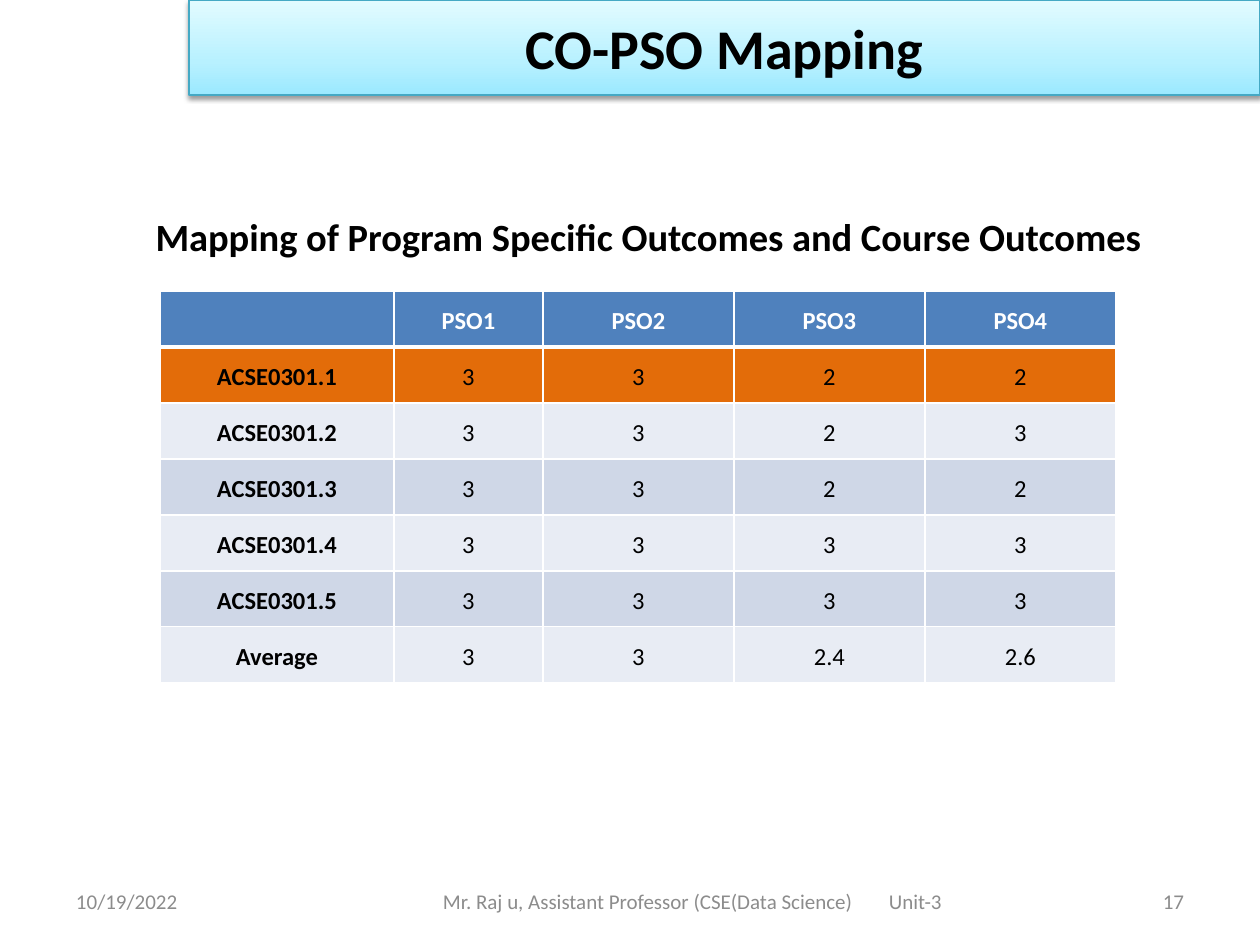
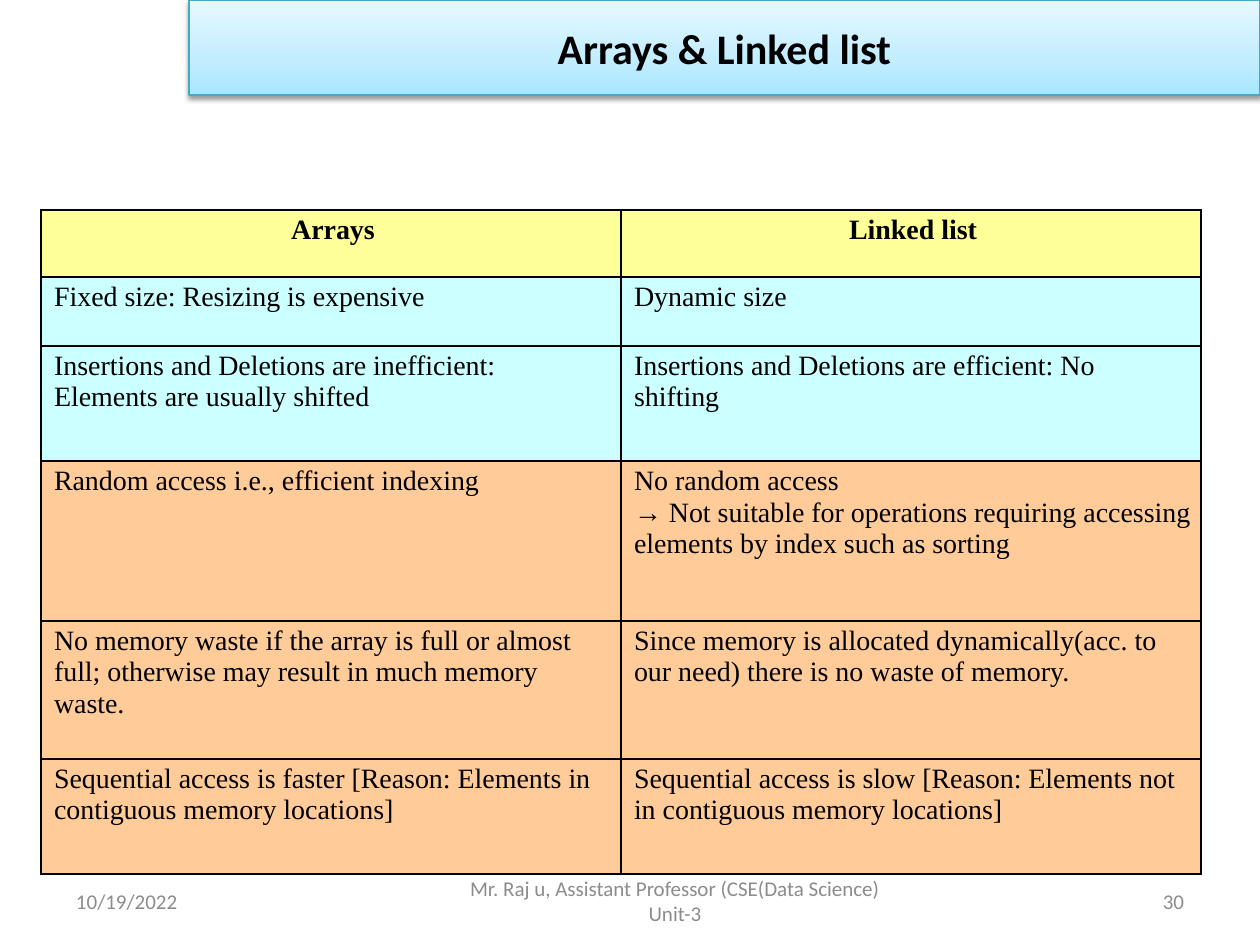
from dataclasses import dataclass

from lxml import etree
from pptx import Presentation
from pptx.dml.color import RGBColor
from pptx.enum.text import MSO_ANCHOR, PP_ALIGN
from pptx.oxml import parse_xml
from pptx.oxml.ns import nsdecls, qn
from pptx.util import Emu, Pt

PX = 914400 / 126
SLIDE_WIDTH, SLIDE_HEIGHT = 1260, 945
TITLE_ONLY = 5

LEFT, CENTER, RIGHT = PP_ALIGN.LEFT, PP_ALIGN.CENTER, PP_ALIGN.RIGHT
TOP, MIDDLE = MSO_ANCHOR.TOP, MSO_ANCHOR.MIDDLE

SANS, SERIF, SYMBOLS = "Calibri", "Times New Roman", "Arial"
ARROW = "→"

BLACK = RGBColor(0x00, 0x00, 0x00)
WHITE = RGBColor(0xFF, 0xFF, 0xFF)
GREY = RGBColor(0x8C, 0x8C, 0x8C)
BAND_EDGE = RGBColor(0x45, 0xA9, 0xC4)
AQUA = (RGBColor(0x9B, 0xE9, 0xFF), RGBColor(0xB8, 0xF1, 0xFF), RGBColor(0xE2, 0xFB, 0xFF))
SKY = (RGBColor(0xA7, 0xE6, 0xFF), RGBColor(0xC1, 0xED, 0xFF), RGBColor(0xE7, 0xF8, 0xFF))
BLUE = RGBColor(0x4F, 0x81, 0xBD)
ORANGE = RGBColor(0xE3, 0x6C, 0x09)
PALE = RGBColor(0xE8, 0xEC, 0xF4)
PALE_BLUE = RGBColor(0xCF, 0xD7, 0xE7)
YELLOW = RGBColor(0xFF, 0xFF, 0x99)
CYAN = RGBColor(0xCC, 0xFF, 0xFF)
PEACH = RGBColor(0xFF, 0xCC, 0x99)

DATE = "10/19/2022"
AUTHOR = "Mr. Raj u, Assistant Professor (CSE(Data Science)"
UNIT = "Unit-3"


@dataclass(frozen=True)
class Box:
    left: int
    top: int
    width: int
    height: int


@dataclass(frozen=True)
class Style:
    font: str
    size: int
    color: RGBColor = BLACK
    bold: bool = False
    align: PP_ALIGN = LEFT


@dataclass(frozen=True)
class Band:
    title: str
    size: int
    gradient: tuple[RGBColor, RGBColor, RGBColor]


@dataclass(frozen=True)
class Footer:
    number: str
    center: Box
    text: str
    align: PP_ALIGN
    indent: int
    tab: int = 0


@dataclass(frozen=True)
class Grid:
    """Place, sizes and cell format of a table; margins are left, top, right, bottom."""
    left: int
    top: int
    columns: list[int]
    rows: list[int]
    fills: list[RGBColor]
    border: RGBColor
    margins: tuple[int, int, int, int]
    anchor: MSO_ANCHOR
    line_spacing: float = 1.0
    header_rule: int = 1


BAND_BOX = Box(189, 0, 1071, 95)
DATE_BOX = Box(63, 876, 294, 50)
NUMBER_BOX = Box(903, 876, 294, 50)
FOOTER_INSET = 13
FOOTER_RIGHT_INSET = 31


def px(length: int) -> Emu:
    return Emu(round(length * PX))


def format_paragraph(para, style: Style) -> None:
    para.alignment = style.align
    para.font.name = style.font
    para.font.size = Pt(style.size)
    para.font.bold = style.bold
    para.font.color.rgb = style.color


def fill_text(frame, text: str, style: Style) -> None:
    """Write one paragraph per line; arrows get their own font."""
    for index, line in enumerate(text.split("\n")):
        para = frame.paragraphs[0] if index == 0 else frame.add_paragraph()
        before, arrow, after = line.partition(ARROW)
        for part in filter(None, (before, arrow, after)):
            span = para.add_run()
            span.text = part
            if part == ARROW:
                span.font.name = SYMBOLS
        format_paragraph(para, style)


def add_text(page, box: Box, style: Style, text: str = ""):
    frame = page.shapes.add_textbox(px(box.left), px(box.top), px(box.width), px(box.height)).text_frame
    frame.word_wrap = True
    frame.vertical_anchor = MIDDLE
    frame.margin_left = frame.margin_right = px(FOOTER_INSET)
    if text:
        fill_text(frame, text, style)
    return frame


def add_band(page, band: Band) -> None:
    """Turn the title placeholder into the gradient band with its shadow."""
    title = page.shapes.title
    title.left, title.top = px(BAND_BOX.left), px(BAND_BOX.top)
    title.width, title.height = px(BAND_BOX.width), px(BAND_BOX.height)
    stops = "".join(
        f'<a:gs pos="{position}"><a:srgbClr val="{color}"/></a:gs>'
        for position, color in zip((0, 35000, 100000), band.gradient)
    )
    properties = title.element.spPr
    properties.append(parse_xml(
        f'<a:gradFill {nsdecls("a")} rotWithShape="1"><a:gsLst>{stops}</a:gsLst>'
        '<a:lin ang="16200000" scaled="0"/></a:gradFill>'
    ))
    title.line.color.rgb = BAND_EDGE
    title.line.width = Pt(0.75)
    properties.append(parse_xml(
        f'<a:effectLst {nsdecls("a")}><a:outerShdw blurRad="{Pt(3.1)}" dist="{Pt(1.6)}" '
        'dir="5400000" rotWithShape="0"><a:srgbClr val="000000"><a:alpha val="38000"/>'
        '</a:srgbClr></a:outerShdw></a:effectLst>'
    ))
    title.text_frame.vertical_anchor = MIDDLE
    fill_text(title.text_frame, band.title, Style(SANS, band.size, bold=True, align=CENTER))


def add_footer(page, footer: Footer) -> None:
    add_text(page, DATE_BOX, Style(SANS, 12, GREY), DATE)
    add_text(page, NUMBER_BOX, Style(SANS, 12, GREY, align=RIGHT), footer.number)
    style = Style(SANS, 12, GREY, align=footer.align)
    frame = add_text(page, footer.center, style)
    frame.margin_left, frame.margin_right = px(footer.indent), px(FOOTER_RIGHT_INSET)
    if footer.tab:
        tabs = etree.SubElement(frame.paragraphs[0]._p.get_or_add_pPr(), qn("a:tabLst"))
        etree.SubElement(tabs, qn("a:tab"), pos=str(px(footer.tab)), algn="l")
    fill_text(frame, footer.text, style)


def set_borders(cell, color: RGBColor, top: int, bottom: int) -> None:
    properties = cell._tc.get_or_add_tcPr()
    sides = {"lnL": 1, "lnR": 1, "lnT": top, "lnB": bottom}
    for index, (side, width) in enumerate(sides.items()):
        properties.insert(index, parse_xml(
            f'<a:{side} {nsdecls("a")} w="{Pt(width)}"><a:solidFill>'
            f'<a:srgbClr val="{color}"/></a:solidFill></a:{side}>'
        ))


def add_grid(page, grid: Grid, texts: list[list[str]], styles: list[list[Style]]) -> None:
    table = page.shapes.add_table(
        len(grid.rows), len(grid.columns), px(grid.left), px(grid.top),
        px(sum(grid.columns)), px(sum(grid.rows)),
    ).table
    table.first_row = table.horz_banding = False
    for column, width in zip(table.columns, grid.columns):
        column.width = px(width)
    for row, height in zip(table.rows, grid.rows):
        row.height = px(height)
    for r, (row_texts, row_styles) in enumerate(zip(texts, styles)):
        for c, (text, style) in enumerate(zip(row_texts, row_styles)):
            cell = table.cell(r, c)
            cell.fill.solid()
            cell.fill.fore_color.rgb = grid.fills[r]
            cell.vertical_anchor = grid.anchor
            margins = map(px, grid.margins)
            cell.margin_left, cell.margin_top, cell.margin_right, cell.margin_bottom = margins
            fill_text(cell.text_frame, text, style)
            for para in cell.text_frame.paragraphs:
                para.line_spacing = grid.line_spacing
            set_borders(cell, grid.border, grid.header_rule if r == 1 else 1,
                        grid.header_rule if r == 0 else 1)


def add_page(deck, band: Band, footer: Footer):
    page = deck.slides.add_slide(deck.slide_layouts[TITLE_ONLY])
    add_band(page, band)
    add_footer(page, footer)
    return page


def build_mapping(deck) -> None:
    footer = Footer("17", Box(346, 876, 693, 50), f"{AUTHOR}\t{UNIT}", LEFT, 97, 446)
    page = add_page(deck, Band("CO-PSO Mapping", 32, AQUA), footer)
    add_text(page, Box(100, 207, 1097, 59), Style(SANS, 22, bold=True, align=CENTER),
             "Mapping of Program Specific Outcomes and Course Outcomes")

    # Scores of each course outcome, then their averages
    scores = ["3322", "3323", "3322", "3333", "3333"]
    texts = [["", *(f"PSO{n}" for n in range(1, 5))]]
    texts += [[f"ACSE0301.{n}", *row] for n, row in enumerate(scores, 1)]
    texts.append(["Average", "3", "3", "2.4", "2.6"])

    header = Style(SANS, 14, WHITE, True, CENTER)
    label = Style(SANS, 14, bold=True, align=CENTER)
    score = Style(SANS, 14, align=CENTER)
    styles = [[header] * 5] + [[label] + [score] * 4] * 6
    grid = Grid(
        160, 291, [234, 149] + [191] * 3, [56] * 7,
        [BLUE, ORANGE, PALE, PALE_BLUE, PALE, PALE_BLUE, PALE],
        WHITE, (9, 0, 9, 0), MIDDLE, line_spacing=1.15, header_rule=3,
    )
    add_grid(page, grid, texts, styles)


def build_comparison(deck) -> None:
    footer = Footer("30", Box(431, 876, 506, 50), f"{AUTHOR}\n{UNIT}", CENTER, FOOTER_INSET)
    page = add_page(deck, Band("Arrays & Linked list", 24, SKY), footer)

    texts = [
        ["Arrays", "Linked list"],
        ["Fixed size: Resizing is expensive", "Dynamic size"],
        ["Insertions and Deletions are inefficient:\nElements are usually shifted",
         "Insertions and Deletions are efficient: No\nshifting"],
        ["Random access i.e., efficient indexing",
         "No random access\n→ Not suitable for operations requiring accessing "
         "elements by index such as sorting"],
        ["No memory waste if the array is full or almost full; "
         "otherwise may result in much memory waste.",
         "Since memory is allocated dynamically(acc. to our need) "
         "there is no waste of memory."],
        ["Sequential access is faster [Reason: Elements in contiguous memory locations]",
         "Sequential access is slow [Reason: Elements not in contiguous memory locations]"],
    ]
    header = Style(SERIF, 16, bold=True, align=CENTER)
    styles = [[header] * 2] + [[Style(SERIF, 16)] * 2] * 5
    grid = Grid(
        41, 210, [580] * 2, [67, 69, 115, 160, 138, 115],
        [YELLOW] + [CYAN] * 2 + [PEACH] * 3,
        BLACK, (13, 5, 9, 0), TOP,
    )
    add_grid(page, grid, texts, styles)


def main() -> None:
    deck = Presentation()
    deck.slide_width, deck.slide_height = px(SLIDE_WIDTH), px(SLIDE_HEIGHT)
    build_mapping(deck)
    build_comparison(deck)
    deck.save("out.pptx")


if __name__ == "__main__":
    main()
